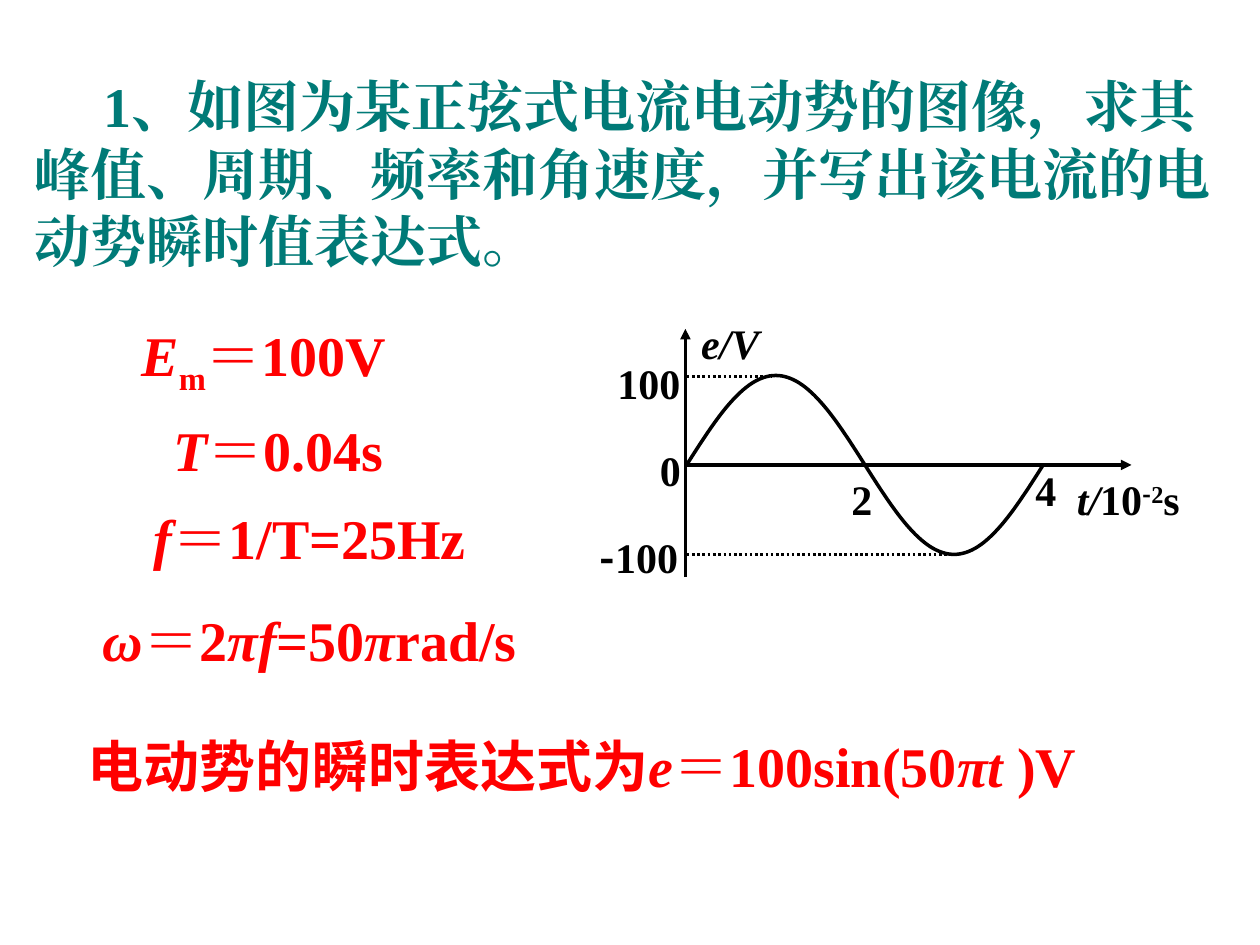
from math import pi, sin

from lxml.etree import SubElement
from pptx import Presentation
from pptx.dml.color import RGBColor
from pptx.enum.dml import MSO_LINE_DASH_STYLE as Dash
from pptx.enum.shapes import MSO_CONNECTOR_TYPE as Connector
from pptx.enum.text import MSO_ANCHOR as Anchor, MSO_AUTO_SIZE as AutoSize, PP_ALIGN as Align
from pptx.oxml.ns import qn
from pptx.util import Pt

PX = 9144  # EMU per px, 100 px to the inch
TEAL = RGBColor(0x00, 0x7A, 0x77)
RED = RGBColor(0xFF, 0x00, 0x00)
BLACK = RGBColor(0x00, 0x00, 0x00)
SERIF = "Times New Roman"
SANS = "Noto Sans CJK SC"
BASELINES = {"sub": "-25000", "sup": "30000"}


class SlideBuilder:
    """Holds the current slide and its text and line styles."""

    def __init__(self, slide):
        self.slide = slide

    def add_runs(self, paragraph, runs, size, color):
        """Each run is (text, marks); marks may hold italic, sans, sub or sup."""
        for text, marks in runs:
            run = paragraph.add_run()
            run.text = text
            marks = marks.split()
            font = run.font
            font.size, font.bold, font.italic = Pt(size), True, "italic" in marks
            font.color.rgb = color
            font.name = SANS if "sans" in marks else SERIF
            properties = run._r.get_or_add_rPr()
            SubElement(properties, qn("a:ea"), typeface=font.name)
            for mark in marks:
                if mark in BASELINES:
                    properties.set("baseline", BASELINES[mark])

    def title(self, box, text, indent):
        shape = self.slide.shapes.title
        shape.left, shape.top, shape.width, shape.height = (length * PX for length in box)
        frame = shape.text_frame
        frame.word_wrap, frame.auto_size = True, AutoSize.NONE
        frame.vertical_anchor = Anchor.MIDDLE
        paragraph = frame.paragraphs[0]
        paragraph.alignment = Align.LEFT
        paragraph._p.get_or_add_pPr().set("indent", str(indent * PX))
        self.add_runs(paragraph, [(text, "")], 32, TEAL)

    def text(self, box, runs, size, color, anchor=Anchor.TOP, align=Align.CENTER, inset=True, wrap=True):
        left, top, width, height = (length * PX for length in box)
        frame = self.slide.shapes.add_textbox(left, top, width, height).text_frame
        frame.word_wrap, frame.vertical_anchor = wrap, anchor
        if not inset:
            frame.margin_left = frame.margin_right = frame.margin_top = frame.margin_bottom = 0
        paragraph = frame.paragraphs[0]
        paragraph.alignment = align
        self.add_runs(paragraph, runs, size, color)

    def answer(self, box, runs, anchor=Anchor.MIDDLE, **options):
        self.text(box, runs, 32, RED, anchor, **options)

    def label(self, box, runs):
        self.text(box, runs, 24, BLACK, inset=False)

    def line(self, start, end, weight=2, arrow=False, dash=None):
        points = [length * PX for length in (*start, *end)]
        connector = self.slide.shapes.add_connector(Connector.STRAIGHT, *points)
        connector.line.color.rgb, connector.line.width = BLACK, Pt(weight)
        if dash:
            connector.line.dash_style = dash
        properties = connector._element.spPr
        if arrow:
            SubElement(properties.get_or_add_ln(), qn("a:tailEnd"), type="triangle")
        SubElement(properties, qn("a:effectLst"))

    def sine(self, left, middle, period, amplitude, steps=120):
        points = [
            (round((left + period * step / steps) * PX),
             round((middle - amplitude * sin(2 * pi * step / steps)) * PX))
            for step in range(steps + 1)
        ]
        builder = self.slide.shapes.build_freeform(*points[0])
        builder.add_line_segments(points[1:], close=False)
        curve = builder.convert_to_shape()
        curve.shadow.inherit = False
        curve.fill.background()
        curve.line.color.rgb, curve.line.width = BLACK, Pt(2)


def main():
    presentation = Presentation()
    presentation.slide_width, presentation.slide_height = 1000 * PX, 750 * PX
    builder = SlideBuilder(presentation.slides.add_slide(presentation.slide_layouts[5]))

    # Question
    builder.title(
        (17, 52, 967, 170),
        "1、如图为某正弦式电流电动势的图像，求其峰值、周期、频率和角速度，并写出该电流的电动势瞬时值表达式。",
        indent=55,
    )

    # Answers
    builder.answer((44, 249, 331, 71), [("E", "italic"), ("m", "sub"), ("＝100V", "")])
    builder.answer((83, 325, 276, 64), [("T", "italic"), ("＝0.04s", "")], Anchor.TOP)
    builder.answer((25, 395, 442, 64), [("f", "italic"), ("＝1/T=25Hz", "")], Anchor.TOP)
    builder.answer(
        (42, 475, 408, 64),
        [("ω", "italic"), ("＝2", ""), ("πf", "italic"), ("=50", ""), ("π", "italic"), ("rad/s", "")],
    )
    builder.answer(
        (60, 575, 836, 64),
        [("电动势的瞬时表达式为", "sans"), ("e", "italic"), ("＝100sin(50", ""),
         ("πt", "italic"), (" )V", "")],
        align=Align.LEFT, wrap=False,
    )

    # Graph: curve, axes and guides at the peaks
    origin_x, origin_y, period, amplitude = 545, 369, 283, 71
    builder.sine(origin_x, origin_y, period, amplitude)
    builder.line((544, origin_y), (898, origin_y), arrow=True)
    builder.line((544, 458), (544, 261), arrow=True)
    for peak_x, peak_y in ((613, origin_y - amplitude + 1), (757, origin_y + amplitude)):
        builder.line((origin_x, peak_y), (peak_x, peak_y), weight=1.5, dash=Dash.ROUND_DOT)

    # Graph labels
    builder.label((532, 252, 95, 40), [("e/V", "italic")])
    builder.label(
        (833, 376, 125, 40),
        [("t/", "italic"), ("10", ""), ("-", "sans sup"), ("2", "sup"), ("s", "")],
    )
    builder.label((457, 422, 100, 40), [("-", "sans"), ("100", "")])
    for text, left, top, width in (("0", 513, 353, 38), ("100", 486, 284, 58),
                                   ("2", 665, 376, 38), ("4", 811, 369, 38)):
        builder.label((left, top, width, 40), [(text, "")])

    presentation.save("out.pptx")


if __name__ == "__main__":
    main()
